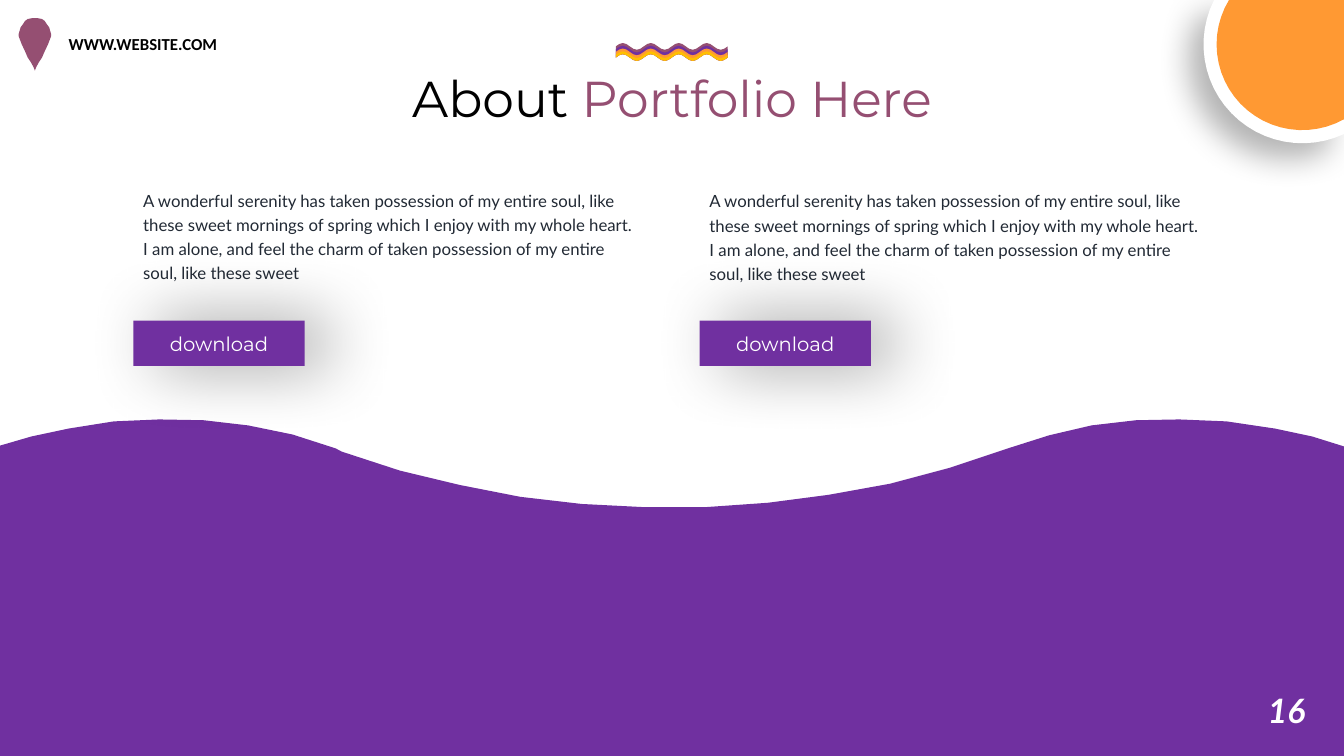
import math

import lxml.etree
import pptx
import pptx.dml.color
import pptx.enum.shapes
import pptx.enum.text
import pptx.oxml.ns
import pptx.util

Cm = pptx.util.Cm
Pt = pptx.util.Pt
ALIGN = pptx.enum.text.PP_ALIGN
WIDTH, HEIGHT = 33.87, 19.05

COLORS = {
    "purple": "7030A0", "plum": "954F72", "orange": "FF9933", "yellow": "FFC000",
    "white": "FFFFFF", "black": "000000", "slate": "222A35",
}
BODY = ("A wonderful serenity has taken possession of my entire soul, like these sweet "
        "mornings of spring which I enjoy with my whole heart. I am alone, and feel the "
        "charm of taken possession of my entire soul, like these sweet")
HILLS = [
    (0, 11.23), (0.79, 11), (1.73, 10.8), (2.87, 10.62), (4.01, 10.57), (5.13, 10.59),
    (6.25, 10.72), (7.37, 10.95), (8.46, 11.3), (8.61, 11.38), (10.08, 11.86),
    (11.58, 12.22), (13.11, 12.52), (14.66, 12.7), (16.23, 12.78), (17.78, 12.78),
    (19.35, 12.67), (20.88, 12.47), (22.43, 12.19), (23.93, 11.79), (25.4, 11.3),
    (26.44, 10.97), (27.51, 10.72), (28.63, 10.59), (29.72, 10.57), (30.91, 10.62),
    (32.13, 10.8), (33.07, 11), (WIDTH, 11.25),
]
PIN_CENTER = 0.88
PIN_HALF = [  # distance from the pin's axis, height on the slide
    (0, 0.46), (0.08, 0.46), (0.18, 0.48), (0.25, 0.53), (0.3, 0.61), (0.36, 0.69),
    (0.38, 0.76), (0.41, 0.86), (0.41, 0.91), (0.38, 0.99), (0.33, 1.12), (0.25, 1.29),
    (0.18, 1.45), (0.1, 1.57), (0.03, 1.7), (0, 1.78),
]


def rgb(name):
    return pptx.dml.color.RGBColor.from_string(COLORS[name])


def write(paragraph, text, font="Lato", size=12, color="black", bold=False, italic=False):
    run = paragraph.add_run()
    run.text = text
    run.font.name = font
    run.font.size = Pt(size)
    run.font.color.rgb = rgb(color)
    run.font.bold = bold
    run.font.italic = italic


def clipped_circle(center_x, center_y, radius, steps=24):
    """Part of a circle that lies inside the top right corner of the slide."""
    start = math.acos((WIDTH - center_x) / radius)
    end = math.pi + math.asin(center_y / radius)
    angles = [start + (end - start) * step / steps for step in range(steps + 1)]
    arc = [(center_x + radius * math.cos(a), center_y + radius * math.sin(a)) for a in angles]
    return [(WIDTH, 0)] + arc


def ripple(middle, left=15.52, width=2.82, periods=4, height=0.085, steps=32):
    return [(left + width * step / steps,
             middle - height * math.sin(2 * math.pi * periods * step / steps))
            for step in range(steps + 1)]


class Page:
    def __init__(self, slide):
        self.slide = slide

    def paint(self, shape, color, shadow=None):
        shape.fill.solid()
        shape.fill.fore_color.rgb = rgb(color)
        shape.line.fill.background()
        shape.shadow.inherit = False
        if shadow:
            alpha, blur, distance, angle = shadow
            qn = pptx.oxml.ns.qn
            effects = shape.element.spPr.find(qn("a:effectLst"))
            outer = lxml.etree.SubElement(
                effects, qn("a:outerShdw"), blurRad=str(Pt(blur)), dist=str(Pt(distance)),
                dir=str(angle * 60000), algn="ctr", rotWithShape="0")
            tint = lxml.etree.SubElement(outer, qn("a:srgbClr"), val=COLORS["black"])
            lxml.etree.SubElement(tint, qn("a:alpha"), val=str(alpha * 1000))

    def outline(self, points, color, shadow=None):
        corners = [(Cm(x), Cm(y)) for x, y in points]
        builder = self.slide.shapes.build_freeform(*corners[0])
        builder.add_line_segments(corners[1:], close=True)
        self.paint(builder.convert_to_shape(), color, shadow)

    def text(self, left, top, width, height, runs, wrap=True, align=ALIGN.LEFT, spacing=None):
        box = self.slide.shapes.add_textbox(Cm(left), Cm(top), Cm(width), Cm(height))
        box.text_frame.word_wrap = wrap
        box.text_frame.auto_size = pptx.enum.text.MSO_AUTO_SIZE.SHAPE_TO_FIT_TEXT
        paragraph = box.text_frame.paragraphs[0]
        paragraph.alignment = align
        paragraph.line_spacing = spacing
        for content, style in runs:
            write(paragraph, content, **style)

    def button(self, left, top, width, height, label):
        shape = self.slide.shapes.add_shape(
            pptx.enum.shapes.MSO_SHAPE.RECTANGLE, Cm(left), Cm(top), Cm(width), Cm(height))
        self.paint(shape, "purple", (40, 50, 16, 0))
        shape.text_frame.vertical_anchor = pptx.enum.text.MSO_ANCHOR.MIDDLE
        paragraph = shape.text_frame.paragraphs[0]
        paragraph.alignment = ALIGN.CENTER
        write(paragraph, label, font="Montserrat", size=14, color="white")


def main():
    presentation = pptx.Presentation()
    presentation.slide_width = Cm(WIDTH)
    presentation.slide_height = Cm(HEIGHT)
    page = Page(presentation.slides.add_slide(presentation.slide_layouts[6]))

    # Purple hills and page number
    page.outline(HILLS + [(WIDTH, HEIGHT), (0, HEIGHT)], "purple")
    page.text(31.7, 17.25, 1.5, 1.27,
              [("16", dict(size=24, color="white", bold=True, italic=True))], wrap=False)

    # Pin and web address
    right_side = [(PIN_CENTER + x, y) for x, y in PIN_HALF]
    left_side = [(PIN_CENTER - x, y) for x, y in reversed(PIN_HALF[1:-1])]
    page.outline(right_side + left_side, "plum")
    page.text(1.48, 0.73, 6.43, 0.76,
              [("WWW.WEBSITE.COM", dict(font="Calibri", bold=True))])

    # Corner disc
    page.outline(clipped_circle(32.82, 1.12, 2.49), "white", (29, 23, 15, 135))
    page.outline(clipped_circle(32.82, 1.12, 2.16), "orange")

    # Title with its ripple
    page.text(9.58, 1.57, 14.71, 1.8,
              [("About ", dict(font="Montserrat", size=36)),
               ("Portfolio Here", dict(font="Montserrat", size=36, color="plum"))],
              wrap=False, align=ALIGN.CENTER)
    for index, color in enumerate(["plum", "purple", "orange", "yellow"]):
        page.outline(ripple(1.17 + 0.07 * index) + ripple(1.45)[::-1], color)

    # Two columns
    for left, top in [(3.36, 4.57), (17.63, 4.59)]:
        page.text(left, top, 12.88, 2.67, [(BODY, dict(color="slate"))], spacing=1.2)
        page.button(left, 8.08, 4.32, 1.14, "download")

    presentation.save("out.pptx")


if __name__ == "__main__":
    main()
